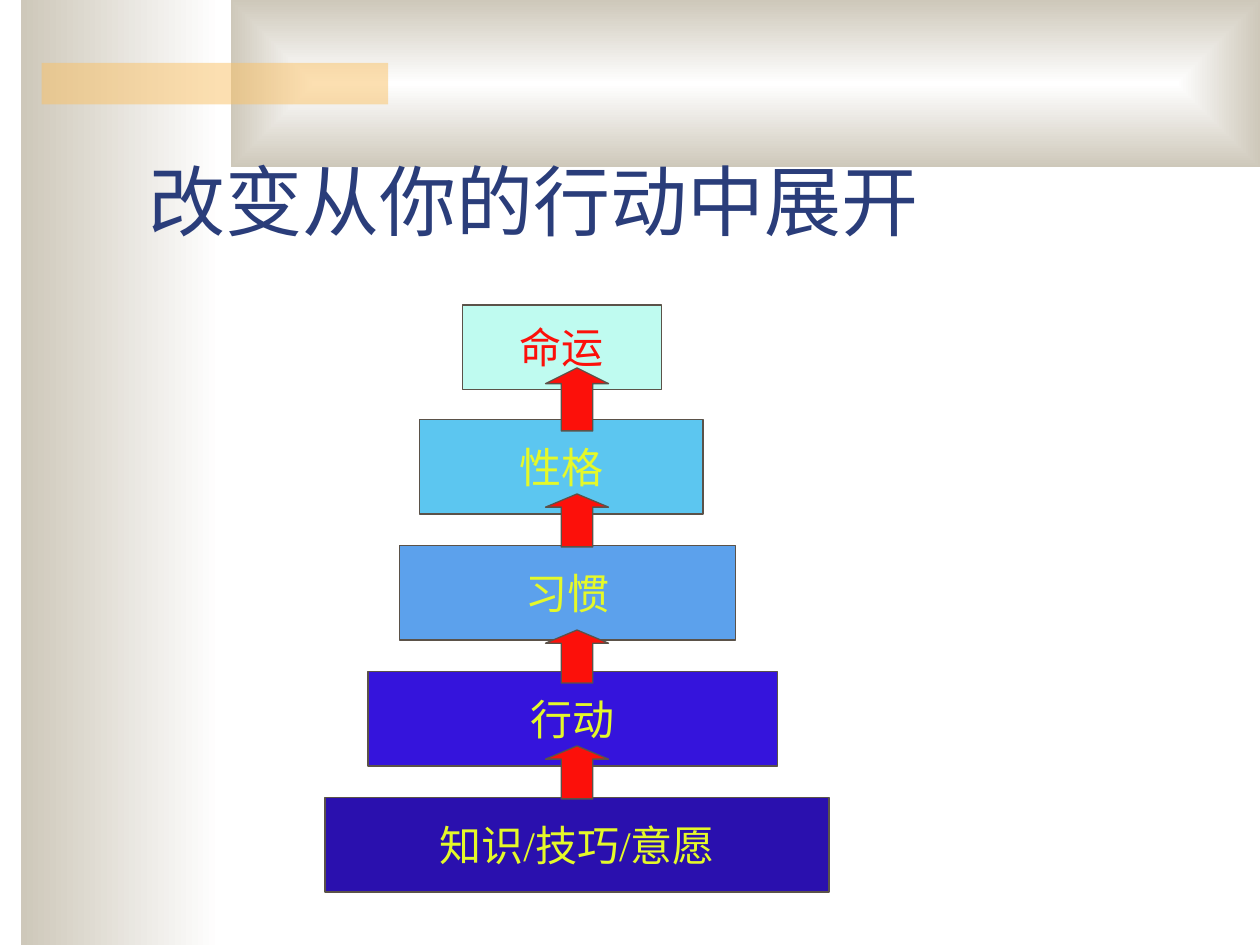
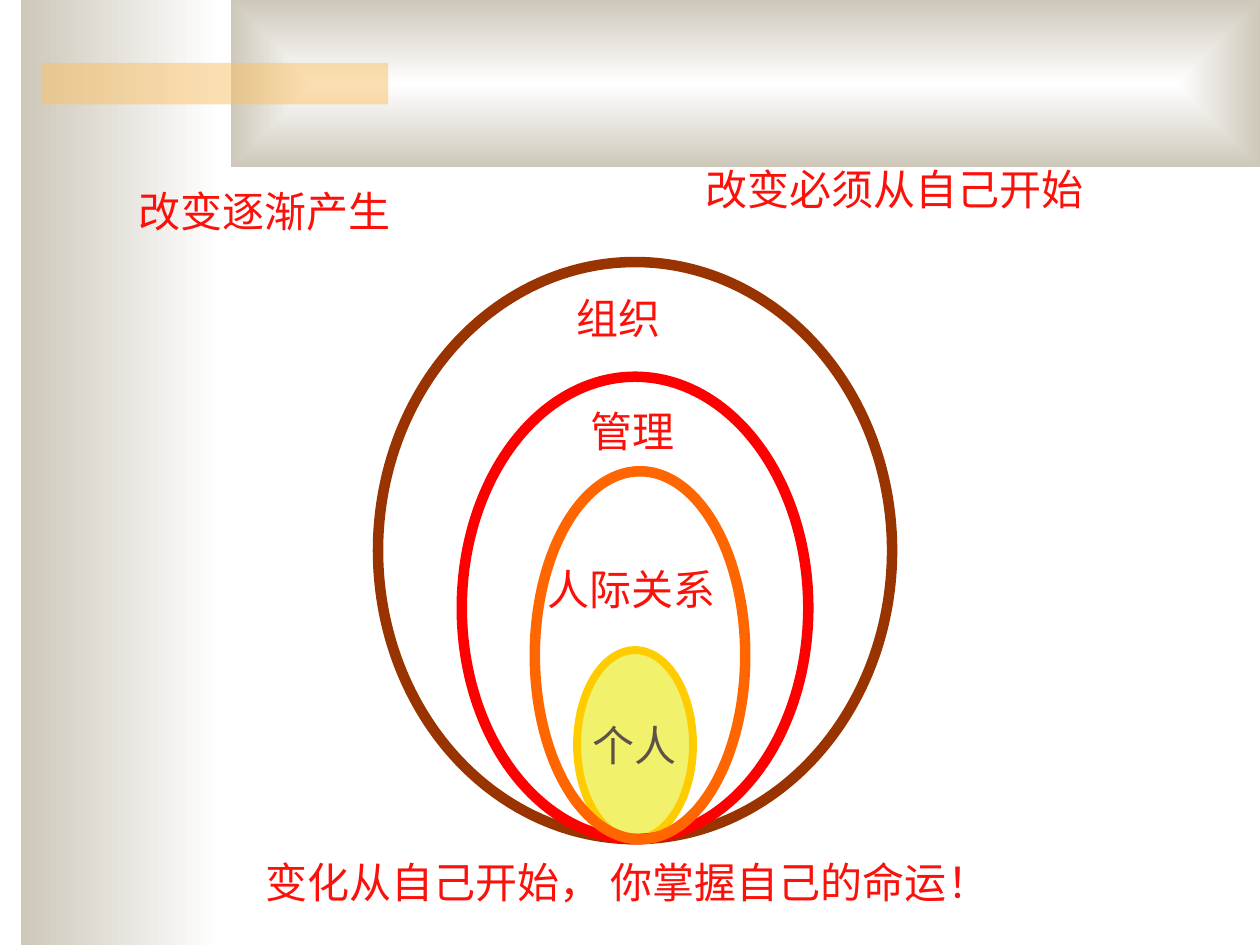
from dataclasses import dataclass

from lxml import etree
from pptx import Presentation
from pptx.dml.color import RGBColor
from pptx.enum.shapes import MSO_SHAPE
from pptx.enum.text import MSO_ANCHOR, MSO_AUTO_SIZE, PP_ALIGN
from pptx.oxml.ns import qn
from pptx.util import Inches, Pt

RECTANGLE, OVAL, UP_ARROW = MSO_SHAPE.RECTANGLE, MSO_SHAPE.OVAL, MSO_SHAPE.UP_ARROW
MIDDLE, BOTTOM = MSO_ANCHOR.MIDDLE, MSO_ANCHOR.BOTTOM
LEFT, CENTER = PP_ALIGN.LEFT, PP_ALIGN.CENTER
FIT_SHAPE, NO_FIT = MSO_AUTO_SIZE.SHAPE_TO_FIT_TEXT, MSO_AUTO_SIZE.NONE
TITLE_ONLY, BLANK = 5, 6


@dataclass(frozen=True)
class Theme:
    font: str = "Times New Roman"
    title_size: int = 44
    text_size: int = 24
    outline_width: float = 0.75
    ring_width: float = 6
    core_width: float = 4.5
    title: str = "2A3D7A"
    accent: str = "FC100A"
    step_text: str = "E5F929"
    outline: str = "5B5249"
    band_light: str = "FFFFFF"
    band_dark: str = "CEC8BA"
    bar: str = "FAC164"
    core_fill: str = "F1F16B"
    core_line: str = "FFCC00"


THEME = Theme()


def rgb(color):
    return RGBColor.from_string(color)


def place(left, top, width, height):
    return [Inches(length) for length in (left, top, width, height)]


def style_text(frame, text, color, size=THEME.text_size, align=LEFT):
    frame.text = text
    paragraph = frame.paragraphs[0]
    paragraph.alignment = align
    paragraph.font.name = THEME.font
    paragraph.font.size = Pt(size)
    paragraph.font.color.rgb = rgb(color)
    return paragraph


def add_figure(slide, kind, box, fill=None, line=None, width=THEME.outline_width):
    figure = slide.shapes.add_shape(kind, *place(*box))
    figure.shadow.inherit = False
    if fill:
        figure.fill.solid()
        figure.fill.fore_color.rgb = rgb(fill)
    else:
        figure.fill.background()
    if line:
        figure.line.color.rgb = rgb(line)
        figure.line.width = Pt(width)
    else:
        figure.line.fill.background()
    return figure


def add_inner_text(figure, text, color):
    frame = figure.text_frame
    frame.word_wrap = False
    frame.vertical_anchor = MIDDLE
    style_text(frame, text, color, align=CENTER)


def add_label(slide, text, box, wrap=False):
    frame = slide.shapes.add_textbox(*place(*box)).text_frame
    frame.word_wrap = wrap
    frame.auto_size = FIT_SHAPE
    return style_text(frame, text, THEME.accent)


def fill_gradient(band):
    band.fill.gradient()
    band.fill.gradient_angle = 180
    colors = (THEME.band_light, THEME.band_dark)
    for position, (stop, color) in enumerate(zip(band.fill.gradient_stops, colors)):
        stop.position = position
        stop.color.rgb = rgb(color)


def add_master_bands(master, slide):
    side = add_figure(slide, RECTANGLE, (0.17, 0, 1.58, 7.5))
    header = add_figure(slide, RECTANGLE, (1.83, 0, 8.17, 1.33))
    bar = add_figure(slide, RECTANGLE, (0.33, 0.5, 2.75, 0.33), THEME.bar)
    fill_gradient(side)
    fill_gradient(header)
    linear = header.element.find(".//" + qn("a:lin"))
    radial = etree.Element(qn("a:path"), path="rect")
    etree.SubElement(radial, qn("a:fillToRect"), dict.fromkeys("ltrb", "50000"))
    linear.getparent().replace(linear, radial)
    bar_color = bar.element.find(".//" + qn("a:srgbClr"))
    etree.SubElement(bar_color, qn("a:alpha"), val="50000")
    for index, band in enumerate((side, header, bar)):
        master.element.cSld.spTree.insert(2 + index, band.element)


def add_title(slide, text, box):
    title = slide.shapes.title
    title.left, title.top, title.width, title.height = place(*box)
    frame = title.text_frame
    frame.auto_size = NO_FIT
    frame.vertical_anchor = BOTTOM
    style_text(frame, text, THEME.title, THEME.title_size)


def add_step_pyramid(slide, left, top):
    steps = [
        ("知识/技巧/意愿", 0, 3.91, 4, 0.75, "2A10AE", THEME.step_text),
        ("行动", 0.34, 2.91, 3.25, 0.75, "3514DC", THEME.step_text),
        ("习惯", 0.59, 1.91, 2.67, 0.75, "5CA1EC", THEME.step_text),
        ("性格", 0.75, 0.91, 2.25, 0.75, "5CC6F0", THEME.step_text),
        ("命运", 1.09, 0, 1.58, 0.67, "BFFBF0", THEME.accent),
    ]
    for text, dx, dy, width, height, fill, color in steps:
        step = add_figure(slide, RECTANGLE, (left + dx, top + dy, width, height),
                          fill, THEME.outline)
        add_inner_text(step, text, color)
    for dy, height in ((3.5, 0.42), (2.58, 0.42), (1.5, 0.42), (0.5, 0.5)):
        arrow = add_figure(slide, UP_ARROW, (left + 1.75, top + dy, 0.5, height),
                           THEME.accent, THEME.outline)
        arrow.adjustments[0] = 0.5
        arrow.adjustments[1] = 0.25


def add_influence_rings(slide, left, top, height):
    def ring_box(center, ring_width, ring_height):
        return (left + center - ring_width / 2, top + height - ring_height,
                ring_width, ring_height)

    person = add_figure(slide, OVAL, ring_box(2.04, 0.92, 1.5),
                        THEME.core_fill, THEME.core_line, THEME.core_width)
    add_inner_text(person, "个人", THEME.outline)
    rings = [
        (2.04, 4.08, height, "993300"),
        (2.04, 2.75, 3.67, "FF0000"),
        (2.08, 1.67, 2.92, "FF6600"),
    ]
    for center, ring_width, ring_height, color in rings:
        add_figure(slide, OVAL, ring_box(center, ring_width, ring_height),
                   line=color, width=THEME.ring_width)
    ring_labels = [
        ("人际关系", 1.25, 2.34, 1.55),
        ("管理", 1.59, 1.09, 0.88),
        ("组织", 1.48, 0.19, 0.88),
    ]
    for text, dx, dy, width in ring_labels:
        add_label(slide, text, (left + dx, top + dy, width, 0.5))


def add_messages(slide):
    headings = [
        ("改变逐渐产生", (1, 1.42, 2.42, 0.5)),
        ("改变必须从自己开始", (5.5, 1.25, 3.58, 0.5)),
    ]
    for text, box in headings:
        add_label(slide, text, box, wrap=True).space_before = Pt(15)
    add_label(slide, "变化从自己开始， 你掌握自己的命运！", (2.01, 6.75, 5.94, 0.5))


def main():
    deck = Presentation()
    deck.slide_width, deck.slide_height = Inches(10), Inches(7.5)

    action = deck.slides.add_slide(deck.slide_layouts[TITLE_ONLY])
    add_master_bands(deck.slide_master, action)
    add_title(action, "改变从你的行动中展开", (1.08, 0.75, 8.5, 1.25))
    add_step_pyramid(action, 2.58, 2.42)

    influence = deck.slides.add_slide(deck.slide_layouts[BLANK])
    add_influence_rings(influence, 3, 2.08, 4.58)
    add_messages(influence)

    deck.save("out.pptx")


if __name__ == "__main__":
    main()
